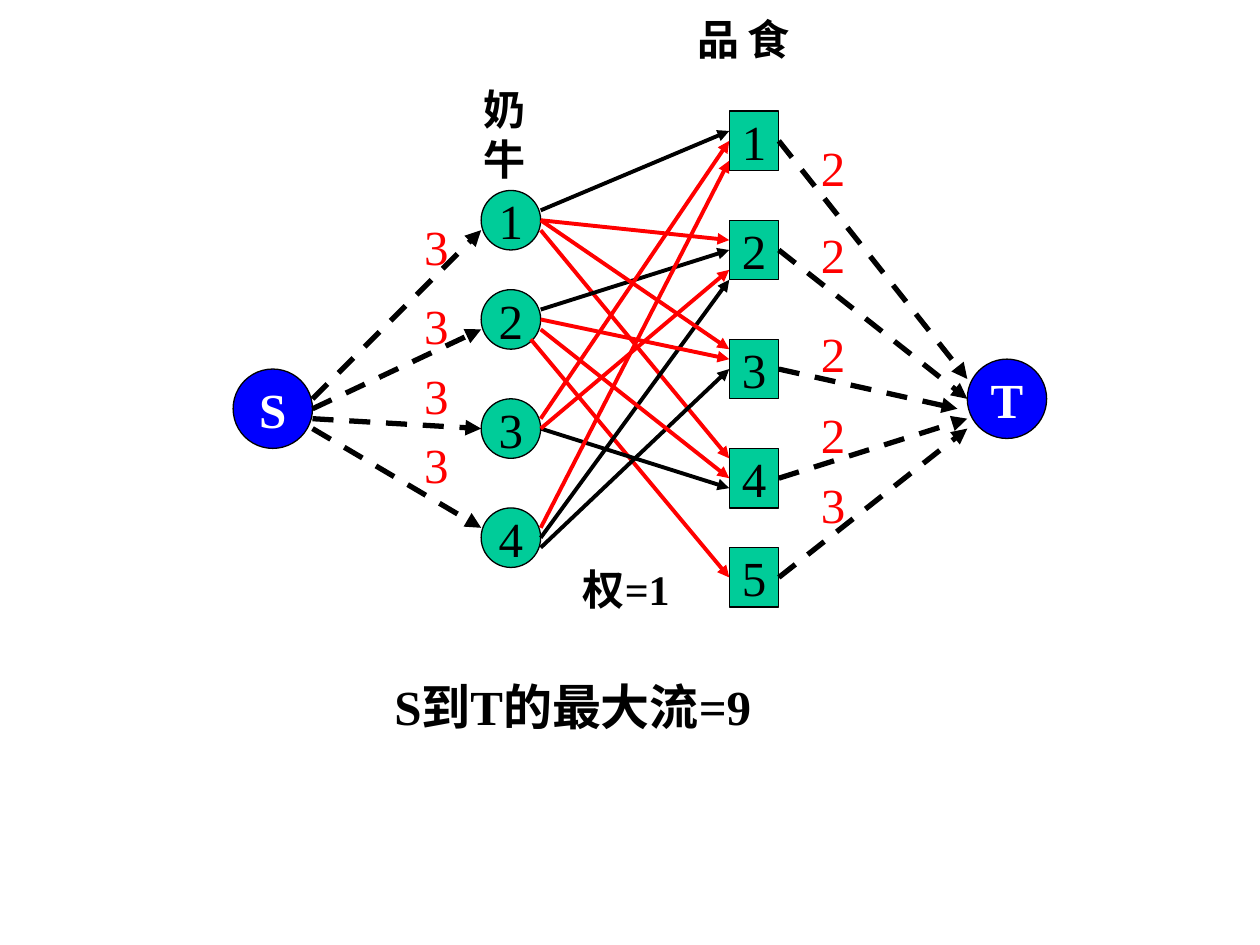
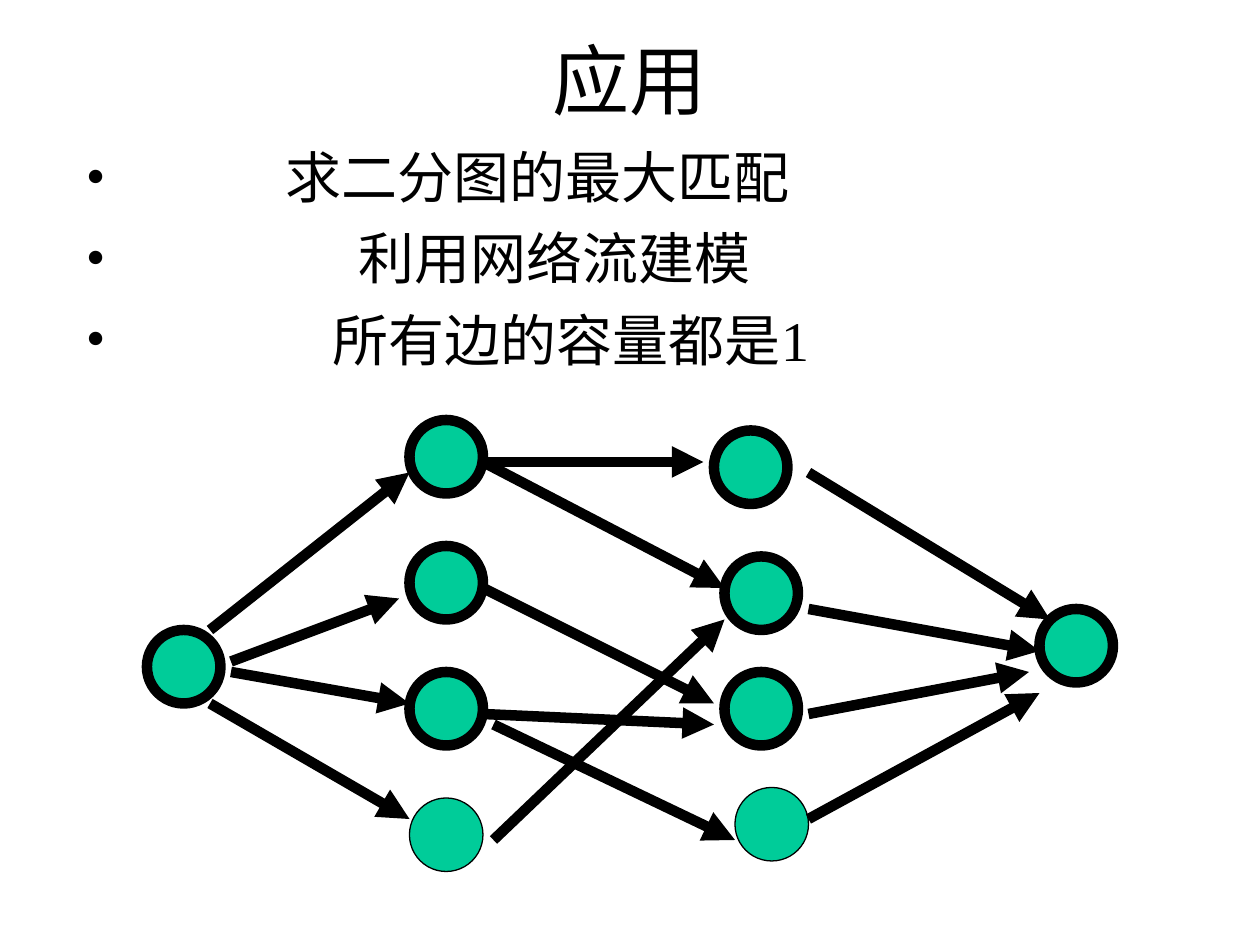
from lxml.etree import SubElement
from pptx import Presentation
from pptx.dml.color import RGBColor
from pptx.enum.dml import MSO_LINE
from pptx.enum.shapes import MSO_CONNECTOR, MSO_SHAPE
from pptx.enum.text import MSO_ANCHOR, MSO_AUTO_SIZE, PP_ALIGN
from pptx.oxml.ns import qn
from pptx.util import Inches, Pt

BLACK = RGBColor(0x00, 0x00, 0x00)
WHITE = RGBColor(0xFF, 0xFF, 0xFF)
RED = RGBColor(0xFF, 0x00, 0x00)
BLUE = RGBColor(0x00, 0x00, 0xFF)
GREEN = RGBColor(0x00, 0xCC, 0x99)
FONT = "Times New Roman"
BLANK_LAYOUT = 6
CIRCLE, SQUARE = MSO_SHAPE.OVAL, MSO_SHAPE.RECTANGLE


class Sketch:
    """Draws on the current page; every length is a number of grid cells."""

    def __init__(self):
        self.deck = Presentation()
        self.deck.slide_width, self.deck.slide_height = Inches(10), Inches(7.5)

    def new_page(self, columns, left=0, top=0):
        """Start a page of square cells, its grid shifted by left and top cells."""
        layout = self.deck.slide_layouts[BLANK_LAYOUT]
        self.shapes = self.deck.slides.add_slide(layout).shapes
        self.cell = self.deck.slide_width / columns
        self.left, self.top = left, top
        self.sides = {}

    def length(self, cells):
        return round(cells * self.cell)

    def point(self, column, row):
        return self.length(column + self.left), self.length(row + self.top)

    def style(self, para, size, color, bold=False):
        for span in para.runs:
            span.font.name, span.font.size = FONT, Pt(size)
            span.font.color.rgb, span.font.bold = color, bold

    def node(self, kind, column, row, width, height, fill=GREEN, line=0.75,
             text="", color=BLACK, bold=False):
        shape = self.shapes.add_shape(kind, *self.point(column, row),
                                      self.length(width), self.length(height))
        shape.shadow.inherit = False
        shape.fill.solid()
        shape.fill.fore_color.rgb = fill
        shape.line.color.rgb, shape.line.width = BLACK, Pt(line)
        if text:
            frame = shape.text_frame
            frame.text, frame.word_wrap = text, False
            frame.vertical_anchor = MSO_ANCHOR.MIDDLE
            frame.paragraphs[0].alignment = PP_ALIGN.CENTER
            self.style(frame.paragraphs[0], 28, color, bold)
        if kind == SQUARE:
            middle = row + height / 2
            self.sides[column, middle] = shape, 1
            self.sides[column + width, middle] = shape, 3

    def arrow(self, start, end, color=BLACK, width=2.25, dashed=False):
        """Draw an arrow, joined to any square whose side has its middle at an end."""
        arrow = self.shapes.add_connector(MSO_CONNECTOR.STRAIGHT,
                                          *self.point(*start), *self.point(*end))
        if start in self.sides:
            arrow.begin_connect(*self.sides[start])
        if end in self.sides:
            arrow.end_connect(*self.sides[end])
        arrow.line.color.rgb, arrow.line.width = color, Pt(width)
        if dashed:
            arrow.line.dash_style = MSO_LINE.DASH
        SubElement(arrow.line._get_or_add_ln(), qn("a:tailEnd"), type="triangle")
        SubElement(arrow._element.spPr, qn("a:effectLst"))

    def text_box(self, column, row, width, height, text):
        box = self.shapes.add_textbox(*self.point(column, row),
                                      self.length(width), self.length(height))
        box.text_frame.word_wrap = True
        box.text_frame.text = text
        return box.text_frame

    def label(self, column, row, width, height, text, size=28, color=BLACK,
              bold=True):
        frame = self.text_box(column, row, width, height, text)
        frame.auto_size = MSO_AUTO_SIZE.SHAPE_TO_FIT_TEXT
        frame.paragraphs[0].space_before = Pt(size * 0.625)
        self.style(frame.paragraphs[0], size, color, bold)
        return frame

    def vertical_label(self, *place, **look):
        frame = self.label(*place, **look)
        frame.margin_left = frame.margin_right = Inches(0.05)
        frame.margin_top = frame.margin_bottom = Inches(0.1)
        frame._txBody.bodyPr.set("vert", "eaVert")

    def title(self, column, row, width, height, text):
        frame = self.text_box(column, row, width, height, text)
        frame.vertical_anchor = MSO_ANCHOR.MIDDLE
        frame.paragraphs[0].alignment = PP_ALIGN.CENTER
        self.style(frame.paragraphs[0], 44, BLACK)

    def bullets(self, column, row, width, height, items):
        """Write (text, indent) items, each bullet staying at the left edge."""
        lines = "\n".join(text for text, _ in items)
        frame = self.text_box(column, row, width, height, lines)
        for para, (_, indent) in zip(frame.paragraphs, items):
            para.space_before = Pt(8)
            self.style(para, 32, BLACK)
            properties = para._p.get_or_add_pPr()
            properties.set("marL", str(self.length(indent)))
            properties.set("indent", str(-self.length(indent)))
            SubElement(properties, qn("a:buFont"), typeface=FONT)
            SubElement(properties, qn("a:buChar"), char="•")


def draw_cow_flow(sketch):
    sketch.new_page(columns=127, left=0.5, top=0.2)
    cow_left, cow_right, food_left, food_right = 48, 54, 73, 78
    for number, row in enumerate((19, 29, 40, 51), 1):
        sketch.node(CIRCLE, cow_left, row, 6, 6, text=str(number))
    for number, row in enumerate((11, 22, 34, 45, 55), 1):
        sketch.node(SQUARE, food_left, row, 5, 6, text=str(number))

    choices = [
        (21, 13, BLACK), (23, 46, RED), (31, 25, BLACK), (34, 58, RED),
        (42, 14, RED), (43, 49, BLACK), (53, 16, RED), (55, 37, BLACK),
        (22, 24, RED), (54, 28, BLACK), (22, 35, RED), (32, 36, RED),
        (33, 48, RED), (43, 27, RED),
    ]
    for cow_row, food_row, color in choices:
        start = cow_right - (cow_row == 34)  # this one leaves lower on the circle
        sketch.arrow((start, cow_row), (food_left, food_row), color)

    sketch.label(47, 7.55, 7, 11.4, "奶牛", size=24)
    sketch.vertical_label(67.3, 0.4, 12.7, 9.65, "食品", size=24)

    for name, column, row in (("S", 23, 37), ("T", 97, 36)):
        sketch.node(CIRCLE, column, row, 8, 8, BLUE, text=name, color=WHITE,
                    bold=True)
    source_arrows = [((31, start), (cow_left, end)) for start, end in
                     ((40, 23), (41, 33), (42, 43), (43, 53))]
    sink_arrows = [((food_right, row), end) for row, end in
                   ((14, (97, 38)), (25, (97, 40)), (37, (96, 41)),
                    (48, (97, 42)), (58, (97, 43)))]
    for start, end in source_arrows + sink_arrows:
        sketch.arrow(start, end, width=3, dashed=True)

    for row in (21, 29, 36, 43):
        sketch.label(41, row, 6, 7.2, "3", color=RED, bold=False)
    for row, capacity in zip((13, 21.8, 31.8, 40, 47), "22223"):
        sketch.label(81, row, 4, 7.2, capacity, color=RED, bold=False)
    sketch.label(57, 56, 12, 11.4, "权=1", size=24)
    sketch.label(38, 67.4, 41.5, 13.2, "S到T的最大流=9")


def draw_matching(sketch):
    sketch.new_page(columns=120)
    sketch.title(9, 0, 102, 15, "应用")
    sketch.bullets(7, 13, 102, 24, [("求二分图的最大匹配", 19),
                                    ("利用网络流建模", 26),
                                    ("所有边的容量都是1", 23.5)])

    thick, thin = 6, 0.75
    left_nodes = [(39, row) for row in range(40, 77, 12)]
    right_nodes = [(68, 41), (69, 53), (69, 64), (70, 75)]
    for nodes in (left_nodes, right_nodes):
        for place, line in zip(nodes, (thick, thick, thick, thin)):
            sketch.node(CIRCLE, *place, 7, 7, line=line)
    for place in ((14, 60), (99, 58)):
        sketch.node(CIRCLE, *place, 7, 7, line=thick)

    edges = [
        ((20, 60), (39, 45)), ((22, 63), (38, 57)),
        ((22, 64), (39, 67)), ((20, 67), (39, 78)),
        ((46, 44), (67, 44)), ((46, 44), (69, 56)), ((46, 56), (68, 67)),
        ((47, 80), (69, 59)), ((47, 69), (70, 80)), ((46, 68), (68, 69)),
        ((77, 45), (100, 59)), ((77, 58), (99, 62)),
        ((77, 68), (98, 64)), ((77, 78), (99, 66)),
    ]
    for start, end in edges:
        sketch.arrow(start, end, width=thick)


def main():
    sketch = Sketch()
    draw_cow_flow(sketch)
    draw_matching(sketch)
    sketch.deck.save("out.pptx")


if __name__ == "__main__":
    main()
